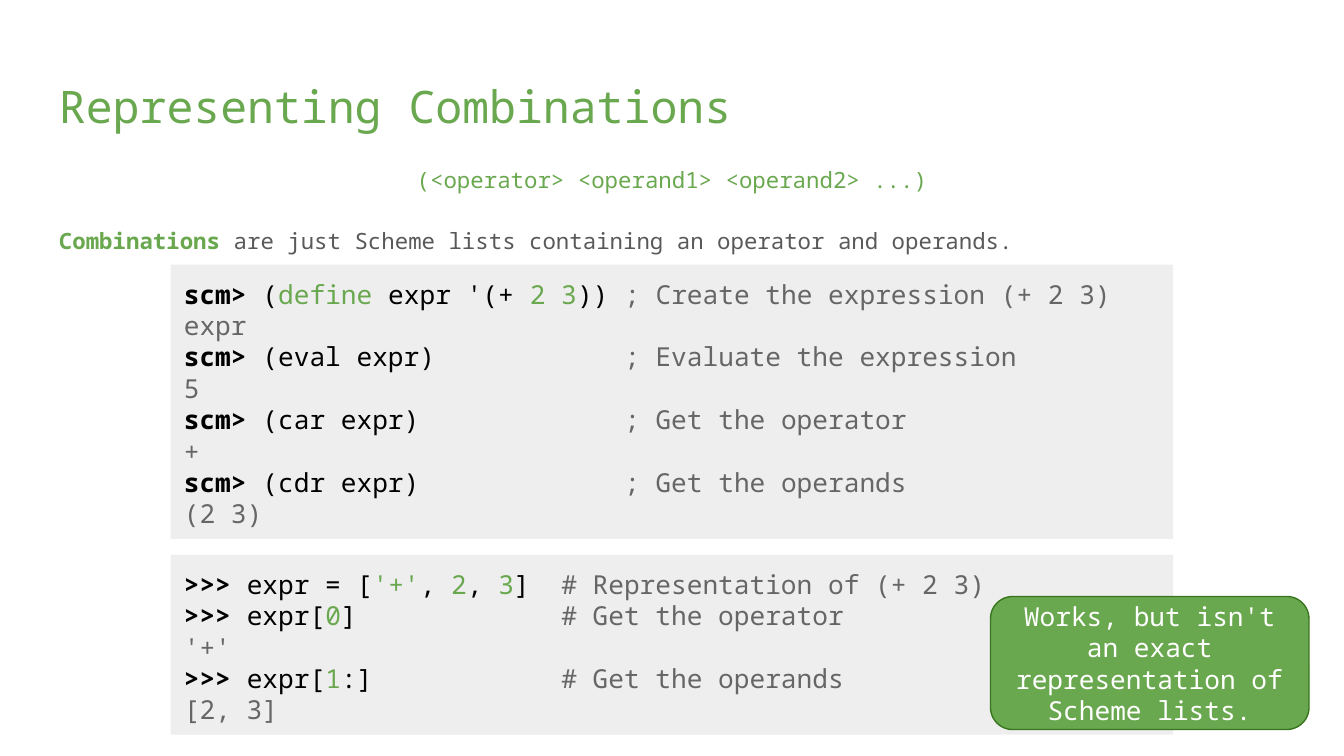
import pptx
import pptx.dml.color
import pptx.enum.shapes
import pptx.enum.text
import pptx.util

WIDTH = pptx.util.Inches(10)
HEIGHT = pptx.util.Inches(5.625)
FONT = "Noto Sans Mono"
GREEN, DARK_GREEN = "6AA84F", "38761D"
BODY_GRAY, PANEL_GRAY = "595959", "EEEEEE"
ALIGN = pptx.enum.text.PP_ALIGN
ANCHOR = pptx.enum.text.MSO_ANCHOR
SHAPE = pptx.enum.shapes.MSO_SHAPE

# Each kind of code token: colour and weight
PROMPT = ("000000", True)
CODE = ("000000", False)
VALUE = (GREEN, False)
OUTPUT = ("666666", False)

# Both code panels share their left edge and width, in percent of the slide
PANEL_LEFT, PANEL_WIDTH = 12.7, 74.6

SCHEME_COLUMN = 28
SCHEME_SESSION = [
    ([("scm>", PROMPT), (" (", CODE), ("define", VALUE), (" expr '(+ ", CODE),
      ("2 3", VALUE), ("))", CODE)], "; Create the expression (+ 2 3)"),
    ([], "expr"),
    ([("scm>", PROMPT), (" (eval expr)", CODE)], "; Evaluate the expression"),
    ([], "5"),
    ([("scm>", PROMPT), (" (car expr)", CODE)], "; Get the operator"),
    ([], "+"),
    ([("scm>", PROMPT), (" (cdr expr)", CODE)], "; Get the operands"),
    ([], "(2 3)"),
]

PYTHON_COLUMN = 24
PYTHON_SESSION = [
    ([(">>>", PROMPT), (" expr = [", CODE), ("'+'", VALUE), (", ", CODE),
      ("2", VALUE), (", ", CODE), ("3", VALUE), ("]", CODE)],
     "# Representation of (+ 2 3)"),
    ([(">>>", PROMPT), (" expr[", CODE), ("0", VALUE), ("]", CODE)],
     "# Get the operator"),
    ([], "'+'"),
    ([(">>>", PROMPT), (" expr[", CODE), ("1", VALUE), (":]", CODE)],
     "# Get the operands"),
    ([], "[2, 3]"),
]


def color(value):
    return pptx.dml.color.RGBColor.from_string(value)


def area(left, top, width, height):
    """Turn percentages of the slide into lengths."""
    return (int(WIDTH * left / 100), int(HEIGHT * top / 100),
            int(WIDTH * width / 100), int(HEIGHT * height / 100))


def apply_format(target, values):
    for name, value in values.items():
        setattr(target, name, value)


def prepare_frame(shape, anchor=ANCHOR.TOP):
    inset = pptx.util.Inches(0.1)
    frame = shape.text_frame
    apply_format(frame, {
        "word_wrap": True, "vertical_anchor": anchor,
        "margin_left": inset, "margin_right": inset,
        "margin_top": inset, "margin_bottom": inset,
    })
    return frame


def add_text_box(slide, box):
    return prepare_frame(slide.shapes.add_textbox(*area(*box)))


def add_filled_shape(slide, kind, box, fill, line=None):
    shape = slide.shapes.add_shape(kind, *area(*box))
    shape.shadow.inherit = False
    shape.fill.solid()
    shape.fill.fore_color.rgb = color(fill)
    if line:
        shape.line.color.rgb = color(line)
        shape.line.width = pptx.util.Pt(0.75)
    else:
        shape.line.fill.background()
    return shape


def write(paragraph, runs, size, **paragraph_format):
    """Fill a paragraph with (text, (colour, bold)) runs."""
    apply_format(paragraph, {"alignment": ALIGN.LEFT, **paragraph_format})
    for text, (shade, bold) in runs:
        run = paragraph.add_run()
        run.text = text
        apply_format(run.font, {"name": FONT, "bold": bold,
                                "size": pptx.util.Pt(size)})
        run.font.color.rgb = color(shade)


def add_code_panel(slide, top, height, session, comment_column):
    """Draw a console session with its comments lined up in one column."""
    panel = add_filled_shape(slide, SHAPE.RECTANGLE,
                             (PANEL_LEFT, top, PANEL_WIDTH, height), PANEL_GRAY)
    frame = prepare_frame(panel)
    for index, (tokens, remark) in enumerate(session):
        paragraph = frame.add_paragraph() if index else frame.paragraphs[0]
        runs = list(tokens)
        if runs:
            last_text, last_style = runs[-1]
            used = sum(len(text) for text, style in runs)
            runs[-1] = (last_text + " " * (comment_column - used), last_style)
        write(paragraph, runs + [(remark, OUTPUT)], 14)


def add_callout(slide, box, text):
    callout = add_filled_shape(slide, SHAPE.ROUNDED_RECTANGLE, box,
                               GREEN, DARK_GREEN)
    frame = prepare_frame(callout, ANCHOR.MIDDLE)
    write(frame.paragraphs[0], [(text, ("FFFFFF", False))], 14,
          alignment=ALIGN.CENTER)


def main():
    presentation = pptx.Presentation()
    apply_format(presentation, {"slide_width": WIDTH, "slide_height": HEIGHT})
    slide = presentation.slides.add_slide(presentation.slide_layouts[6])

    title = add_text_box(slide, (3.4, 8.7, 93.2, 11.2))
    write(title.paragraphs[0], [("Representing Combinations", VALUE)], 24)

    body = add_text_box(slide, (3.4, 19.7, 93.2, 15.3))
    write(body.paragraphs[0],
          [("(<operator> <operand1> <operand2> ...)", VALUE)], 12,
          alignment=ALIGN.CENTER, line_spacing=1.15)
    write(body.add_paragraph(), [
        ("Combinations ", (GREEN, True)),
        ("are just Scheme lists containing an operator and operands.",
         (BODY_GRAY, False)),
    ], 12, line_spacing=1.15, space_before=pptx.util.Pt(16),
        space_after=pptx.util.Pt(16))

    add_code_panel(slide, 35, 36.3, SCHEME_SESSION, SCHEME_COLUMN)
    add_code_panel(slide, 73.4, 23.8, PYTHON_SESSION, PYTHON_COLUMN)
    add_callout(slide, (73.7, 78.9, 23.7, 17.6),
                "Works, but isn't an exact representation of Scheme lists.")

    presentation.save("out.pptx")


if __name__ == "__main__":
    main()
